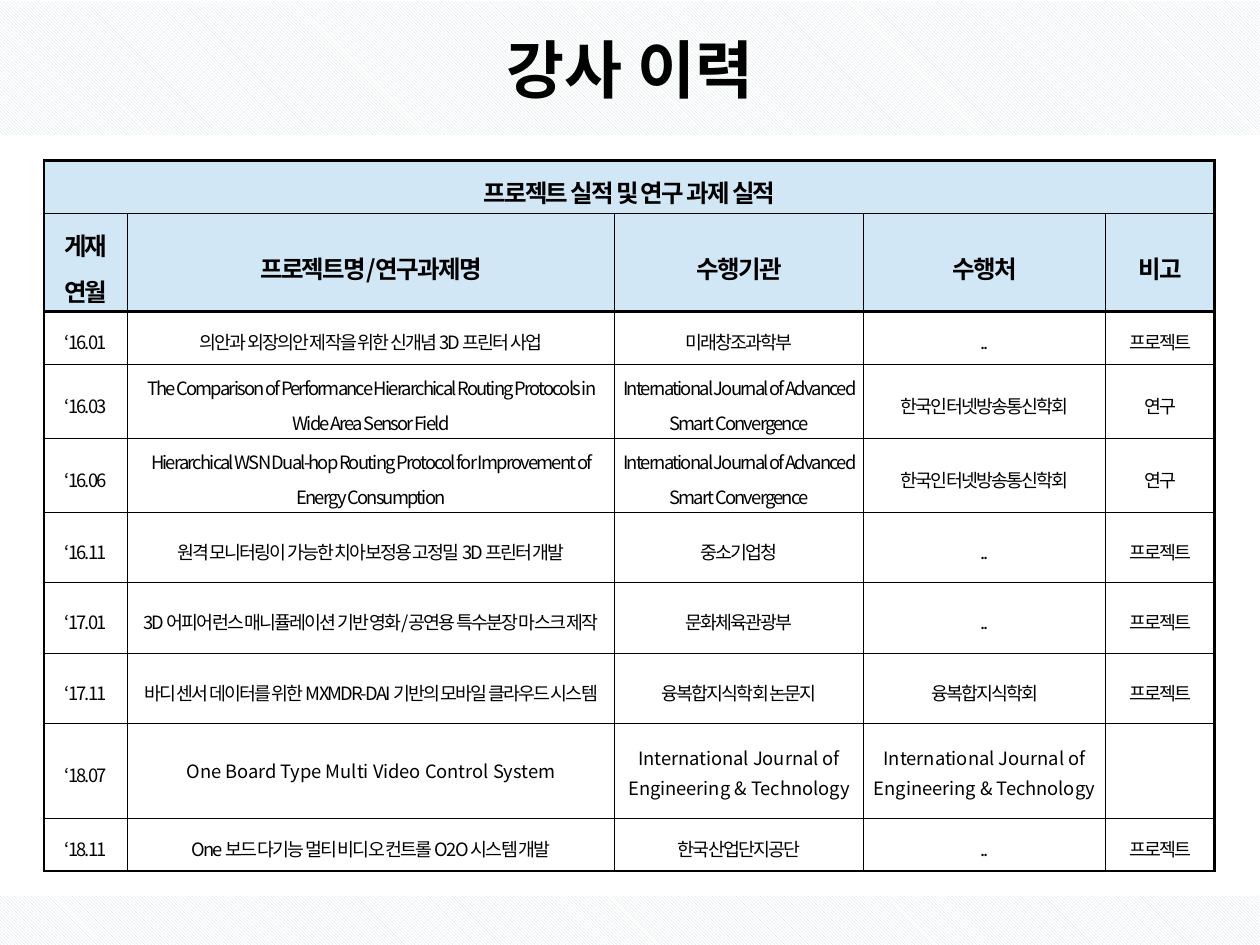
from dataclasses import dataclass

from lxml import etree
from pptx import Presentation
from pptx import util as u
from pptx.dml.color import RGBColor
from pptx.enum import dml, shapes, text
from pptx.oxml import ns

FONT = "Noto Sans CJK KR"
BLACK = RGBColor(0x00, 0x00, 0x00)
WHITE = RGBColor(0xFF, 0xFF, 0xFF)
HEADER_BLUE = RGBColor(0xD1, 0xE7, 0xF6)
HATCH = RGBColor(0xCE, 0xDE, 0xE2)

THIN, FRAME, HEADER_RULE = 0.28, 1.7, 1.98
HEADER_ROWS = 2
COLUMN_WIDTHS = (1.68, 9.82, 5.02, 4.88, 2.2)
ROW_HEIGHTS = (1.07, 1.85, 1.07, *[1.42] * 5, 1.91, 1.07)


@dataclass(frozen=True)
class Style:
    size: float
    bold: bool = False
    tracking: int = 0  # hundredths of a point
    line: float | None = None
    after: float = 0


TITLE = Style(36, bold=True)
HEADER = Style(14, bold=True, tracking=-100, line=1.3)
BODY = Style(10.5, tracking=-100, line=1.3)
PLAIN = Style(10.5)
JOURNAL = Style(10.5, line=1.15, after=10)


@dataclass(frozen=True)
class Record:
    month: str
    project: str
    agency: str
    venue: str = ".."
    note: str = "프로젝트"
    styles: tuple[Style, ...] = (BODY,) * 5

    def cells(self) -> tuple[str, ...]:
        return self.month, self.project, self.agency, self.venue, self.note


CONVERGENCE = "International Journal of Advanced Smart Convergence"
ENGINEERING = "International Journal of Engineering & Technology"
SOCIETY = "한국인터넷방송통신학회"
TABLE_TITLE = "프로젝트 실적 및 연구 과제 실적"
HEADINGS = ("게재\n연월", "프로젝트명/연구과제명", "수행기관", "수행처", "비고")
RECORDS = (
    Record("‘16.01", "의안과 외장의안 제작을 위한 신개념 3D 프린터 사업", "미래창조과학부"),
    Record("‘16.03", "The Comparison of Performance Hierarchical Routing Protocols in "
           "Wide Area Sensor Field", CONVERGENCE, SOCIETY, "연구"),
    Record("‘16.06", "Hierarchical WSN Dual-hop Routing Protocol for Improvement of "
           "Energy Consumption", CONVERGENCE, SOCIETY, "연구"),
    Record("‘16.11", "원격 모니터링이 가능한 치아보정용 고정밀 3D 프린터 개발", "중소기업청"),
    Record("‘17.01", "3D 어피어런스 매니퓰레이션 기반 영화/공연용 특수분장 마스크 제작",
           "문화체육관광부"),
    Record("‘17.11", "바디 센서 데이터를 위한 MXMDR-DAI 기반의 모바일 클라우드 시스템",
           "융복합지식학회 논문지", "융복합지식학회"),
    Record("‘18.07", "One Board Type Multi Video Control System", ENGINEERING, ENGINEERING,
           "", (BODY, PLAIN, JOURNAL, JOURNAL, BODY)),
    Record("‘18.11", "One 보드 다기능 멀티 비디오 컨트롤 O2O 시스템 개발", "한국산업단지공단"),
)


def write(frame, content: str, style: Style) -> None:
    """Fill a text frame with centred paragraphs, one per line of content."""
    for index, line in enumerate(content.split("\n")):
        para = frame.paragraphs[0] if index == 0 else frame.add_paragraph()
        para.alignment = text.PP_ALIGN.CENTER
        para.space_before, para.space_after = u.Pt(0), u.Pt(style.after)
        if style.line:
            para.line_spacing = style.line
        if not line:
            continue
        span = para.add_run()
        span.text = line
        span.font.size, span.font.bold = u.Pt(style.size), style.bold
        span.font.color.rgb = BLACK
        span.font.name = FONT
        props = span.font._element
        props.set("spc", str(style.tracking))
        etree.SubElement(props, ns.qn("a:ea"), typeface=FONT)


def hatch(shape) -> None:
    """Give a band its light diagonal pattern."""
    shape.fill.patterned()
    shape.fill.pattern = dml.MSO_PATTERN.LIGHT_DOWNWARD_DIAGONAL
    shape.fill.fore_color.rgb = HATCH
    shape.fill.back_color.rgb = WHITE
    shape.line.fill.background()


def draw_borders(cell, left: float, right: float, top: float, bottom: float) -> None:
    props = cell._tc.get_or_add_tcPr()
    for side, width in zip("LRTB", (left, right, top, bottom)):
        line = etree.SubElement(props, ns.qn(f"a:ln{side}"), w=str(int(u.Pt(width))))
        fill = etree.SubElement(line, ns.qn("a:solidFill"))
        etree.SubElement(fill, ns.qn("a:srgbClr"), val=str(BLACK))


def rule_above(row: int) -> float:
    """Width of the horizontal rule above a row."""
    if row in (0, len(ROW_HEIGHTS)):
        return FRAME
    return HEADER_RULE if row == HEADER_ROWS else THIN


def fill_cell(table, row: int, col: int, content: str, style: Style) -> None:
    cell = table.cell(row, col)
    cell.margin_left = cell.margin_right = u.Cm(0.05)
    cell.margin_top = cell.margin_bottom = u.Cm(0.05)
    cell.vertical_anchor = text.MSO_ANCHOR.MIDDLE
    at_right = row == 0 or col == len(COLUMN_WIDTHS) - 1
    draw_borders(cell, FRAME if col == 0 else THIN, FRAME if at_right else THIN,
                 rule_above(row), rule_above(row + 1))
    if row < HEADER_ROWS:
        cell.fill.solid()
        cell.fill.fore_color.rgb = HEADER_BLUE
    else:
        cell.fill.background()
    write(cell.text_frame, content, style)


def add_history(page) -> None:
    frame = page.shapes.add_table(
        len(ROW_HEIGHTS), len(COLUMN_WIDTHS), u.Cm(0.89), u.Cm(3.23),
        u.Cm(sum(COLUMN_WIDTHS)), u.Cm(sum(ROW_HEIGHTS)))
    table = frame.table
    table.first_row = table.horz_banding = False
    for column, width in zip(table.columns, COLUMN_WIDTHS):
        column.width = u.Cm(width)
    for row, height in zip(table.rows, ROW_HEIGHTS):
        row.height = u.Cm(height)

    # Header rows
    table.cell(0, 0).merge(table.cell(0, len(COLUMN_WIDTHS) - 1))
    for col, heading in enumerate(HEADINGS):
        fill_cell(table, 0, col, TABLE_TITLE if col == 0 else "", HEADER)
        fill_cell(table, 1, col, heading, HEADER)

    # Records
    for row, record in enumerate(RECORDS, HEADER_ROWS):
        for col, (content, style) in enumerate(zip(record.cells(), record.styles)):
            fill_cell(table, row, col, content, style)


deck = Presentation()
deck.slide_width, deck.slide_height = u.Cm(25.4), u.Cm(19.05)
page = deck.slides.add_slide(deck.slide_layouts[5])

# Title band
title = page.shapes.title
title.left, title.top, title.width, title.height = u.Cm(0), u.Cm(0.03), u.Cm(25.4), u.Cm(2.69)
hatch(title)
title.text_frame.auto_size = text.MSO_AUTO_SIZE.NONE
title.text_frame.vertical_anchor = text.MSO_ANCHOR.MIDDLE
write(title.text_frame, "강사 이력", TITLE)

# Footer band
footer = page.shapes.add_shape(
    shapes.MSO_SHAPE.RECTANGLE, u.Cm(0), u.Cm(18.06), u.Cm(25.4), u.Cm(0.99))
footer.shadow.inherit = False
hatch(footer)

# Project history
add_history(page)

deck.save("out.pptx")
